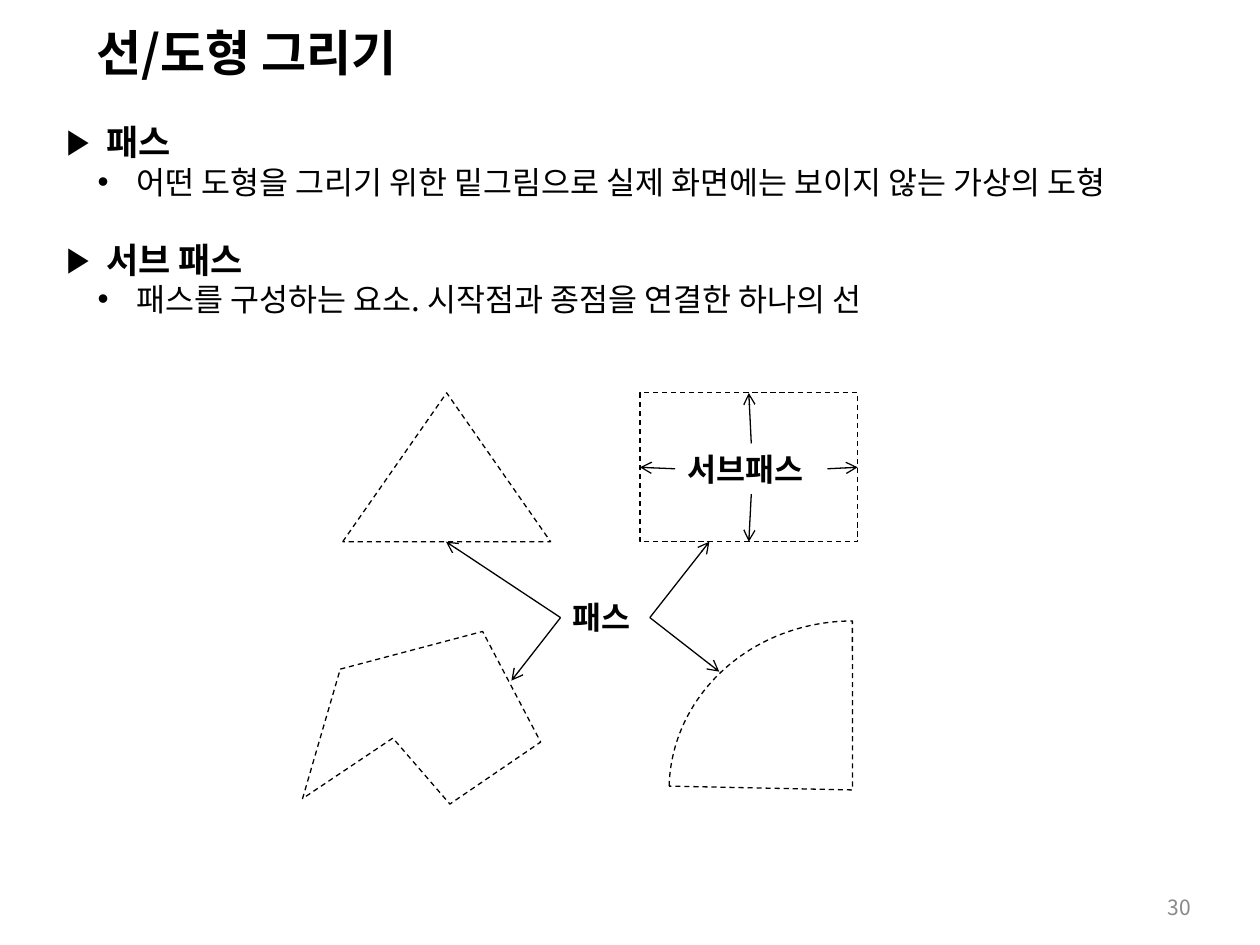
from lxml.etree import SubElement
from pptx import Presentation
from pptx.dml.color import RGBColor
from pptx.enum.dml import MSO_LINE
from pptx.enum.shapes import MSO_CONNECTOR, MSO_SHAPE
from pptx.enum.text import MSO_ANCHOR, MSO_AUTO_SIZE, PP_ALIGN
from pptx.oxml.ns import qn
from pptx.util import Cm, Pt

FONT = "Noto Sans CJK KR"
BLACK = RGBColor(0x00, 0x00, 0x00)
GRAY = RGBColor(0x89, 0x89, 0x89)
TOP, LEFT, BOTTOM, RIGHT = range(4)

# Content: places are left, top, width, height in cm
TITLE = ("선/도형 그리기", (1.7, 0.33, 7.29, 1.45))
BODY_PLACE = (1.09, 2.31, 23.22, 5.05)
TOPICS = [
    (" 패스", " 어떤 도형을 그리기 위한 밑그림으로 실제 화면에는 보이지 않는 가상의 도형"),
    (" 서브 패스", " 패스를 구성하는 요소. 시작점과 종점을 연결한 하나의 선"),
]
TRIANGLE_PLACE = (6.91, 7.92, 4.19, 3)
RECTANGLE_PLACE = (12.9, 7.92, 4.39, 3)
POLYGON_POINTS = [(6.86, 13.49), (9.73, 12.73), (10.9, 14.96),
                  (9.07, 16.21), (7.92, 14.88), (6.1, 16.1)]
PIE_PLACE = (13.49, 12.52, 7.39, 6.81)
PIE_ANGLES = (108.71, 162)
SUBPATH_LABEL = ("서브패스", (13.61, 8.94, 3.07, 1.02))
PATH_LABEL = ("패스", (11.3, 11.94, 1.8, 1.02))
PATH_ARROWS = [  # side of the label, arrow tip
    (LEFT, (8.99, 10.92)),
    (LEFT, (10.31, 13.72)),
    (RIGHT, (14.5, 13.54)),
    (RIGHT, (14.3, 10.92)),
]
PAGE_NUMBER = ("30", (18.34, 17.78, 5.92, 1.02))


def to_cm(values):
    return [Cm(value) for value in values]


def format_runs(paragraph, size, bold=False, color=BLACK):
    for run in paragraph.runs:
        run.font.name = FONT
        run.font.size = Pt(size)
        run.font.bold = bold
        run.font.color.rgb = color


def add_label(slide, text, place, size, bold=True, color=BLACK, wrap=False):
    box = slide.shapes.add_textbox(*to_cm(place))
    frame = box.text_frame
    frame.text = text
    frame.word_wrap = wrap
    frame.auto_size = MSO_AUTO_SIZE.NONE if wrap else MSO_AUTO_SIZE.SHAPE_TO_FIT_TEXT
    format_runs(frame.paragraphs[0], size, bold, color)
    return box


def set_bullet(paragraph, character, margin):
    properties = paragraph._p.get_or_add_pPr()
    properties.set("marL", str(Cm(margin)))
    properties.set("indent", str(-Cm(0.64)))
    SubElement(properties, qn("a:buFont"), typeface="Arial")
    SubElement(properties, qn("a:buChar"), char=character)


def add_topics(slide):
    frame = slide.shapes.add_textbox(*to_cm(BODY_PLACE)).text_frame
    frame.word_wrap = True
    for index, (heading, detail) in enumerate(TOPICS):
        paragraph = frame.add_paragraph() if index else frame.paragraphs[0]
        paragraph.text = heading
        if index:
            paragraph.space_before = Pt(21.5)
        set_bullet(paragraph, "▶", 0.64)
        format_runs(paragraph, 20, bold=True)

        paragraph = frame.add_paragraph()
        paragraph.text = detail
        paragraph.level = 1
        set_bullet(paragraph, "•", 1.27)
        format_runs(paragraph, 18)


def style_outline(shape):
    shape.shadow.inherit = False
    shape.fill.background()
    shape.line.color.rgb = BLACK
    shape.line.width = Pt(0.75)
    shape.line.dash_style = MSO_LINE.DASH


def add_outline(slide, kind, place):
    shape = slide.shapes.add_shape(kind, *to_cm(place))
    style_outline(shape)
    return shape


def add_polygon(slide, points):
    start, *others = [to_cm(point) for point in points]
    builder = slide.shapes.build_freeform(*start)
    builder.add_line_segments(others, close=True)
    style_outline(builder.convert_to_shape())


def add_arrow(slide, label, side, tip=(0, 0)):
    arrow = slide.shapes.add_connector(MSO_CONNECTOR.STRAIGHT, 0, 0, *to_cm(tip))
    arrow.begin_connect(label, side)
    arrow.line.color.rgb = BLACK
    arrow.line.width = Pt(0.75)
    SubElement(arrow.line._get_or_add_ln(), qn("a:tailEnd"), type="arrow")
    SubElement(arrow._element.spPr, qn("a:effectLst"))
    return arrow


def main():
    presentation = Presentation()
    presentation.slide_width, presentation.slide_height = Cm(25.4), Cm(19.05)
    slide = presentation.slides.add_slide(presentation.slide_layouts[6])

    # Title and explanations
    add_label(slide, *TITLE, size=28)
    add_topics(slide)

    # Dashed example paths
    add_outline(slide, MSO_SHAPE.ISOSCELES_TRIANGLE, TRIANGLE_PLACE)
    rectangle = add_outline(slide, MSO_SHAPE.RECTANGLE, RECTANGLE_PLACE)
    add_polygon(slide, POLYGON_POINTS)
    pie = add_outline(slide, MSO_SHAPE.PIE, PIE_PLACE)
    for index, angle in enumerate(PIE_ANGLES):
        pie.adjustments[index] = angle

    # Subpath label pointing to each side of the rectangle
    subpath_label = add_label(slide, *SUBPATH_LABEL, size=18)
    for side in (TOP, RIGHT, LEFT, BOTTOM):
        add_arrow(slide, subpath_label, side).end_connect(rectangle, side)

    # Path label pointing to each outline
    path_label = add_label(slide, *PATH_LABEL, size=18)
    for side, tip in PATH_ARROWS:
        add_arrow(slide, path_label, side, tip)

    # Page number
    number = add_label(slide, *PAGE_NUMBER, size=12, bold=False, color=GRAY, wrap=True)
    number.text_frame.vertical_anchor = MSO_ANCHOR.MIDDLE
    number.text_frame.paragraphs[0].alignment = PP_ALIGN.RIGHT

    presentation.save("out.pptx")


if __name__ == "__main__":
    main()
